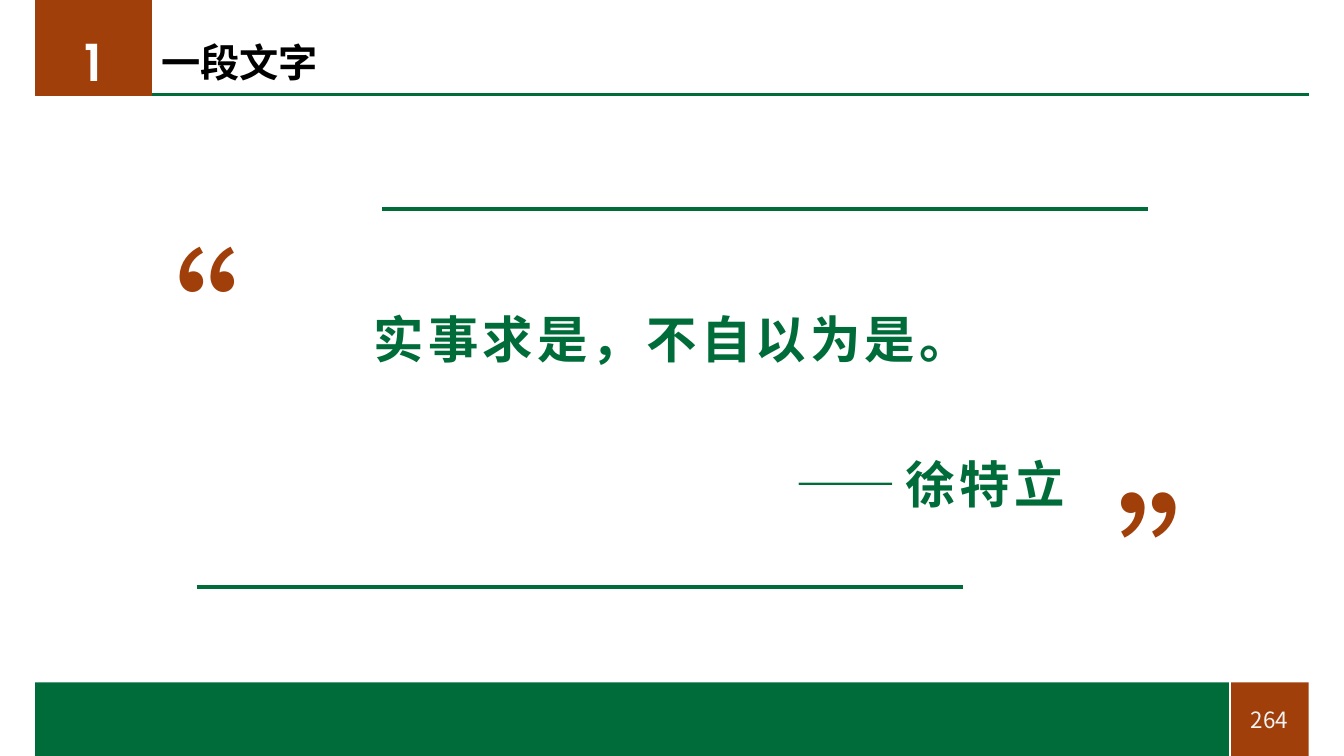
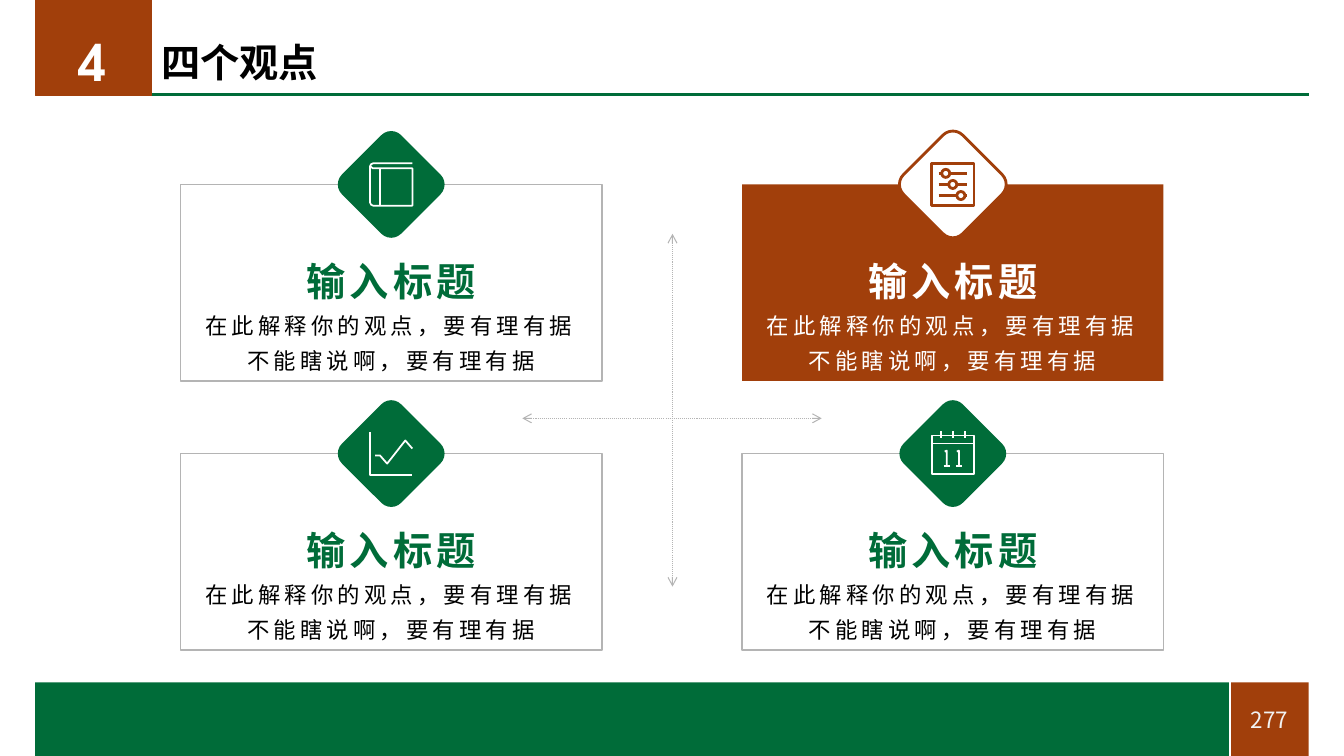
"""Build a quotation slide and a four-viewpoint slide in one shared frame."""
from dataclasses import dataclass
from typing import Optional

from lxml import etree
from pptx import Presentation
from pptx.dml.color import RGBColor
from pptx.enum.dml import MSO_LINE
from pptx.enum.shapes import MSO_CONNECTOR, MSO_SHAPE
from pptx.enum.text import MSO_ANCHOR, PP_ALIGN
from pptx.oxml.ns import qn
from pptx.util import Inches, Pt

RECTANGLE, ROUNDED, OVAL = MSO_SHAPE.RECTANGLE, MSO_SHAPE.ROUNDED_RECTANGLE, MSO_SHAPE.OVAL
STRAIGHT, DOTTED = MSO_CONNECTOR.STRAIGHT, MSO_LINE.ROUND_DOT
LEFT, CENTER, RIGHT = PP_ALIGN.LEFT, PP_ALIGN.CENTER, PP_ALIGN.RIGHT
TOP, MIDDLE = MSO_ANCHOR.TOP, MSO_ANCHOR.MIDDLE

GREEN, RUST, GRAY = "006C39", "A13F0B", "B4B4B4"
WHITE, BLACK, PALE = "FFFFFF", "000000", "F2F2F2"
SANS, GEOMETRIC = "Noto Sans CJK SC", "TeX Gyre Adventor"
CARD_WIDTH, CARD_HEIGHT, DIAMOND = 4.18, 1.95, 0.83
CARD_LEFTS, CARD_TOPS = (1.79, 7.36), (1.83, 4.5)
HEADING = "输入标题"
EXPLANATION = "在此解释你的观点，要有理有据不能瞎说啊，要有理有据"

Stroke = tuple[tuple[float, float], ...]
Area = tuple[float, float, float, float]


@dataclass(frozen=True)
class Paragraph:
    """One paragraph of uniformly formatted text."""
    text: str
    size: float
    color: str
    bold: bool = False
    align: PP_ALIGN = LEFT
    font: str = SANS
    tracking: float = 0
    spacing: float = 1.0
    before: float = 0


@dataclass(frozen=True)
class Icon:
    """Strokes and round knobs, measured from the icon's centre."""
    strokes: tuple[Stroke, ...]
    knobs: Stroke = ()
    weight: float = 1.25


@dataclass(frozen=True)
class Card:
    """One viewpoint at a grid position."""
    column: int
    row: int
    icon: Icon
    highlighted: bool = False


def box_stroke(left: float, top: float, right: float, bottom: float) -> Stroke:
    """Return the closed outline of a rectangle."""
    return ((left, top), (right, top), (right, bottom), (left, bottom), (left, top))


def digit_strokes(middle: float) -> tuple[Stroke, ...]:
    """Return the strokes of a calendar digit one."""
    return (
        ((middle - 0.02, -0.02), (middle, -0.03), (middle, 0.12)),
        ((middle - 0.03, 0.12), (middle + 0.03, 0.12)),
    )


BOOK = Icon((
    ((0.21, -0.21), (-0.18, -0.21), (-0.2, -0.2), (-0.21, -0.18), (-0.21, 0.18), (-0.2, 0.2),
     (-0.18, 0.21), (0.21, 0.21), (0.21, -0.16), (-0.18, -0.16), (-0.21, -0.18)),
    ((-0.11, -0.16), (-0.11, 0.21)),
))
TREND = Icon((
    ((-0.21, -0.21), (-0.21, 0.21), (0.21, 0.21)),
    ((-0.16, 0.02), (-0.11, 0.02), (-0.04, 0.1), (0.14, -0.13), (0.21, -0.05)),
))
SLIDER_KNOBS = ((-0.07, -0.11), (0.0, 0.0), (0.08, 0.11))
SLIDERS = Icon(
    (box_stroke(-0.21, -0.21, 0.21, 0.21),
     *(((-0.14, y), (0.14, y)) for _, y in SLIDER_KNOBS)),
    SLIDER_KNOBS, 2,
)
CALENDAR = Icon((
    box_stroke(-0.21, -0.18, 0.21, 0.2),
    ((-0.21, -0.1), (0.21, -0.1)),
    *(((x, -0.22), (x, -0.15)) for x in (-0.12, 0.0, 0.12)),
    *digit_strokes(-0.06),
    *digit_strokes(0.06),
))
CARDS = (
    Card(0, 0, BOOK),
    Card(1, 0, SLIDERS, highlighted=True),
    Card(0, 1, TREND),
    Card(1, 1, CALENDAR),
)


def rgb(color: str) -> RGBColor:
    """Turn a hex string into a colour."""
    return RGBColor.from_string(color)


def paint(shape, fill: Optional[str], line: Optional[str], weight: float) -> None:
    """Set fill and outline and drop the shadow."""
    shape.shadow.inherit = False
    if fill:
        shape.fill.solid()
        shape.fill.fore_color.rgb = rgb(fill)
    else:
        shape.fill.background()
    if line:
        shape.line.color.rgb = rgb(line)
        shape.line.width = Pt(weight)
    else:
        shape.line.fill.background()


def add_block(page, kind, area: Area, fill: Optional[str] = None,
              line: Optional[str] = None, weight: float = 1):
    """Add a painted preset shape."""
    shape = page.shapes.add_shape(kind, *map(Inches, area))
    paint(shape, fill, line, weight)
    return shape


def add_line(page, area: Area, color: str, weight: float, arrows: bool = False) -> None:
    """Add a straight line between two points, dotted if it has arrows."""
    line = page.shapes.add_connector(STRAIGHT, *map(Inches, area))
    line.line.color.rgb = rgb(color)
    line.line.width = Pt(weight)
    if arrows:
        line.line.dash_style = DOTTED
        outline = line.line._get_or_add_ln()
        for end in ("a:headEnd", "a:tailEnd"):
            etree.SubElement(outline, qn(end)).set("type", "arrow")
    etree.SubElement(line._element.spPr, qn("a:effectLst"))


def add_text(page, area: Area, *paragraphs: Paragraph, anchor: MSO_ANCHOR = TOP,
             inset: bool = False) -> None:
    """Add a wrapped text box, with the usual insets on request."""
    frame = page.shapes.add_textbox(*map(Inches, area)).text_frame
    frame.word_wrap = True
    frame.vertical_anchor = anchor
    if not inset:
        frame.margin_left = frame.margin_right = frame.margin_top = frame.margin_bottom = 0
    frame.text = "\n".join(item.text for item in paragraphs)
    for item, para in zip(paragraphs, frame.paragraphs):
        para.alignment = item.align
        para.line_spacing = item.spacing
        if item.before:
            para.space_before = Pt(item.before)
        span = para.runs[0]
        span.font.size = Pt(item.size)
        span.font.bold = item.bold
        span.font.color.rgb = rgb(item.color)
        span.font.name = item.font
        properties = span._r.get_or_add_rPr()
        properties.set("lang", "zh-CN")
        if item.tracking:
            properties.set("spc", str(round(item.tracking * 100)))
        etree.SubElement(properties, qn("a:ea")).set("typeface", item.font)


def add_page(deck, number: str, title: str, page_number: str):
    """Add a blank slide with the shared header and footer."""
    page = deck.slides.add_slide(deck.slide_layouts[6])
    add_line(page, (1.49, 0.94, 12.98, 0.94), GREEN, 2.25)
    add_block(page, RECTANGLE, (12.2, 6.77, 0.78, 0.73), RUST)
    add_block(page, RECTANGLE, (0.35, 0, 1.15, 0.95), RUST, RUST)
    add_block(page, RECTANGLE, (0.35, 6.77, 11.86, 0.73), GREEN)
    add_text(page, (12.29, 6.95, 0.6, 0.37),
             Paragraph(page_number, 16, PALE, align=CENTER), anchor=MIDDLE, inset=True)
    add_line(page, (12.2, 6.77, 12.2, 7.5), WHITE, 1)
    add_text(page, (1.5, 0.38, 9.45, 0.53),
             Paragraph(title, 28, BLACK, True, spacing=0.9), anchor=MIDDLE, inset=True)
    add_text(page, (0.39, 0.26, 1.06, 0.71),
             Paragraph(number, 36, WHITE, True, CENTER, GEOMETRIC), inset=True)
    return page


def add_icon(page, icon: Icon, x: float, y: float, color: str, ground: str) -> None:
    """Draw an icon around a centre point."""
    for stroke in icon.strokes:
        points = [(Inches(x + dx), Inches(y + dy)) for dx, dy in stroke]
        closed = points[0] == points[-1]
        builder = page.shapes.build_freeform(*points[0])
        builder.add_line_segments(points[1:], close=closed)
        paint(builder.convert_to_shape(), None, color, icon.weight)
    for dx, dy in icon.knobs:
        area = (x + dx - 0.04, y + dy - 0.04, 0.08, 0.08)
        add_block(page, OVAL, area, ground, color, icon.weight)


def add_card(page, card: Card) -> None:
    """Draw a card with its diamond, icon and text."""
    left, top = CARD_LEFTS[card.column], CARD_TOPS[card.row]
    middle = left + CARD_WIDTH / 2
    area = (left, top, CARD_WIDTH, CARD_HEIGHT)
    if card.highlighted:
        add_block(page, RECTANGLE, area, RUST)
        ground, ink, heading, body, edge = WHITE, RUST, WHITE, WHITE, RUST
    else:
        add_block(page, RECTANGLE, area, line=GRAY, weight=1.25)
        ground, ink, heading, body, edge = GREEN, WHITE, GREEN, BLACK, None
    diamond = add_block(page, ROUNDED, (middle - DIAMOND / 2, top - DIAMOND / 2, DIAMOND, DIAMOND),
                        ground, edge, 2)
    diamond.rotation = 45
    add_icon(page, card.icon, middle, top, ink, ground)
    add_text(page, (left + 0.13, top + 0.58, 3.92, 1.31),
             Paragraph(HEADING, 28, heading, True, CENTER, tracking=3, spacing=1.3),
             Paragraph(EXPLANATION, 16, body, False, CENTER, tracking=3, spacing=1.3))


def build_quotation(deck) -> None:
    """Build the slide with one quotation."""
    page = add_page(deck, "1", "一段文字", "264")
    for mark, area in (("“", (0.79, 2.21, 2.72, 1.94)), ("”", (11.06, 4.64, 1.79, 1.94))):
        add_text(page, area, Paragraph(mark, 115, RUST, tracking=3))
    for left, y in ((3.79, 2.07), (1.95, 5.82)):
        add_line(page, (left, y, left + 7.6, y), GREEN, 3)
    add_text(page, (2.77, 2.94, 7.79, 2.12),
             Paragraph("实事求是，不自以为是。", 36, GREEN, True, CENTER, tracking=3, spacing=1.2),
             Paragraph("——徐特立", 36, GREEN, True, RIGHT, tracking=3, spacing=1.2, before=51.5))


def build_viewpoints(deck) -> None:
    """Build the slide with four viewpoint cards."""
    page = add_page(deck, "4", "四个观点", "277")
    for area in ((6.67, 2.32, 6.67, 5.82), (5.18, 4.15, 8.15, 4.15)):
        add_line(page, area, GRAY, 0.75, arrows=True)
    for card in CARDS:
        add_card(page, card)


def main() -> None:
    """Build and save the deck."""
    deck = Presentation()
    deck.slide_width, deck.slide_height = Inches(13.33), Inches(7.5)
    build_quotation(deck)
    build_viewpoints(deck)
    deck.save("out.pptx")


if __name__ == "__main__":
    main()
